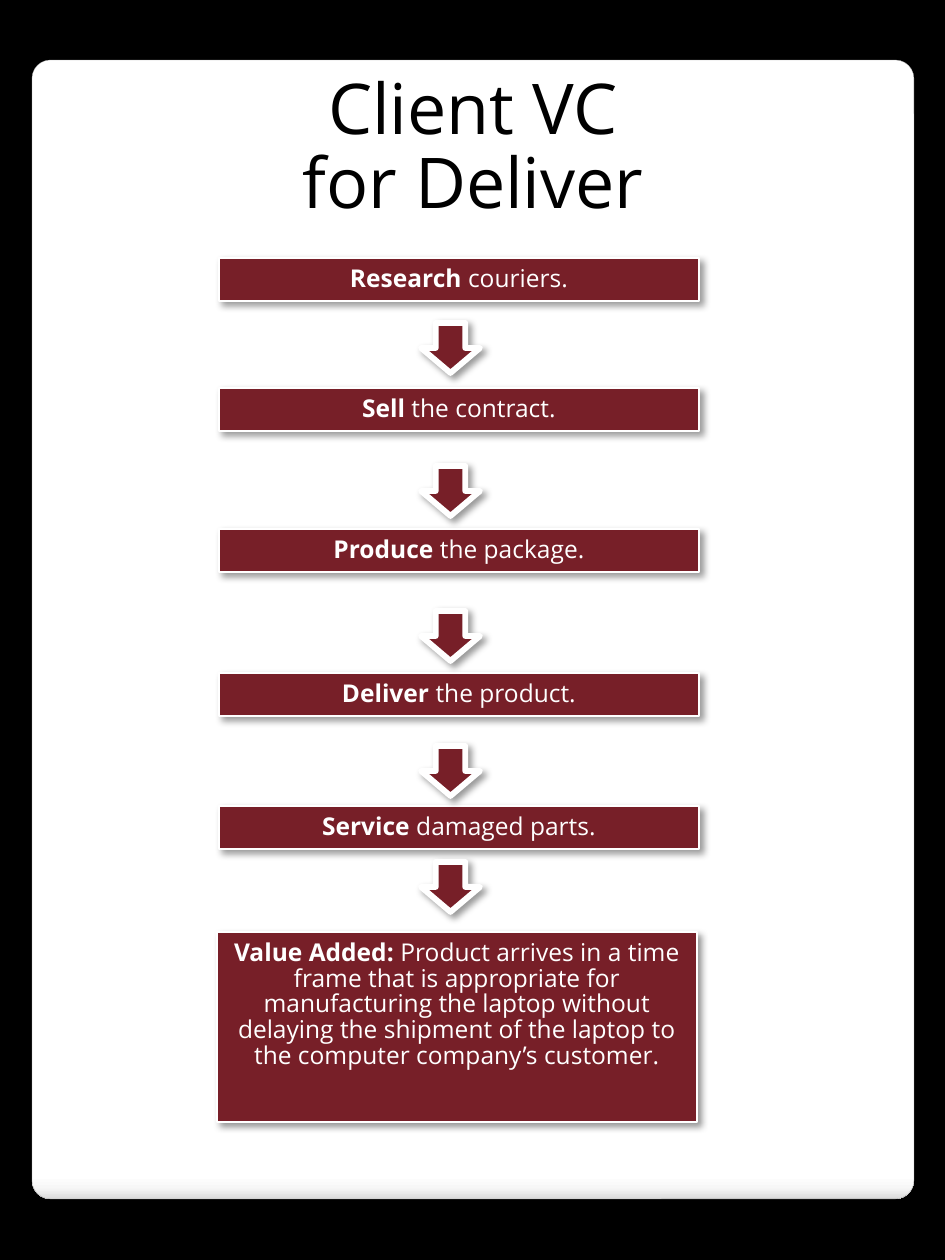
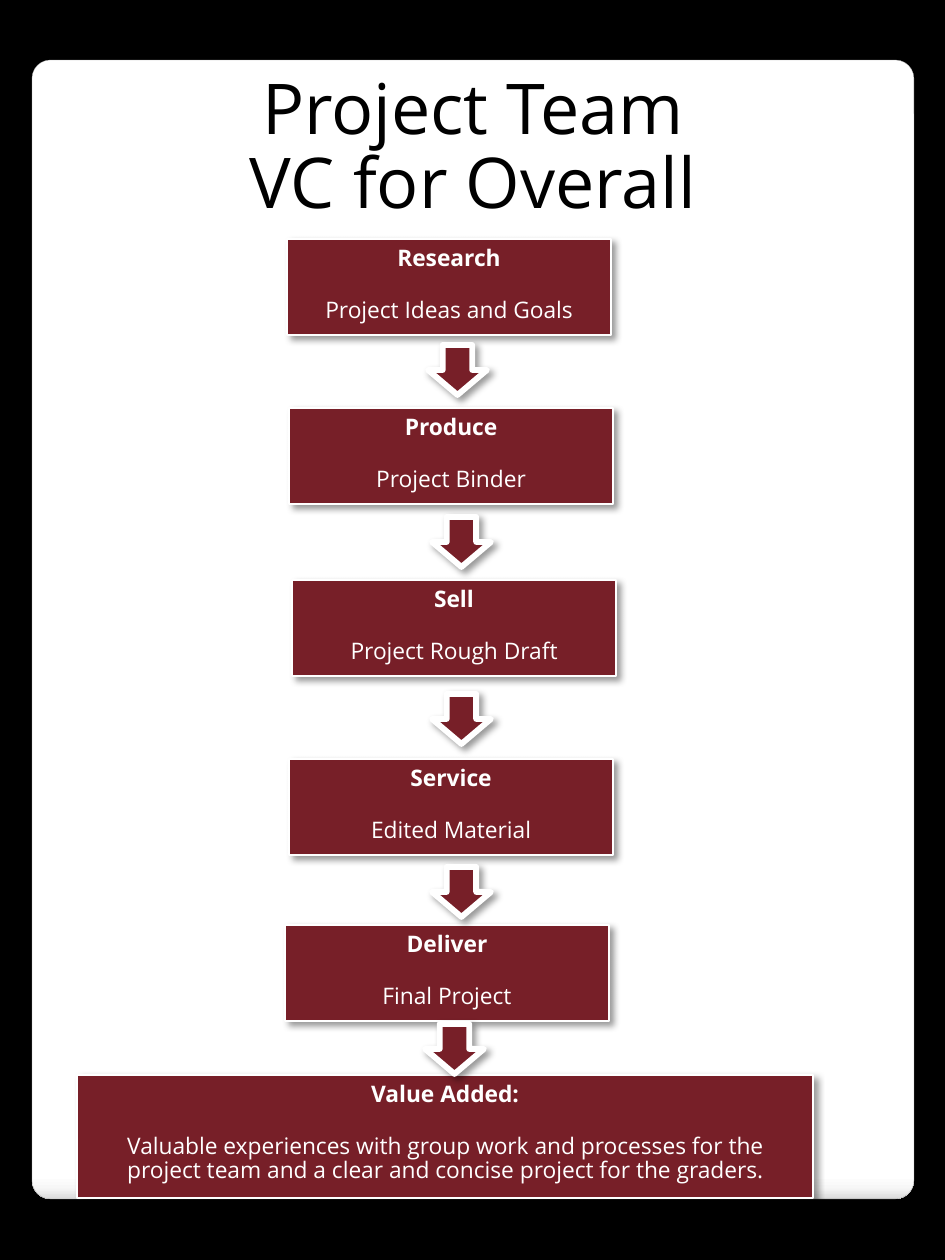
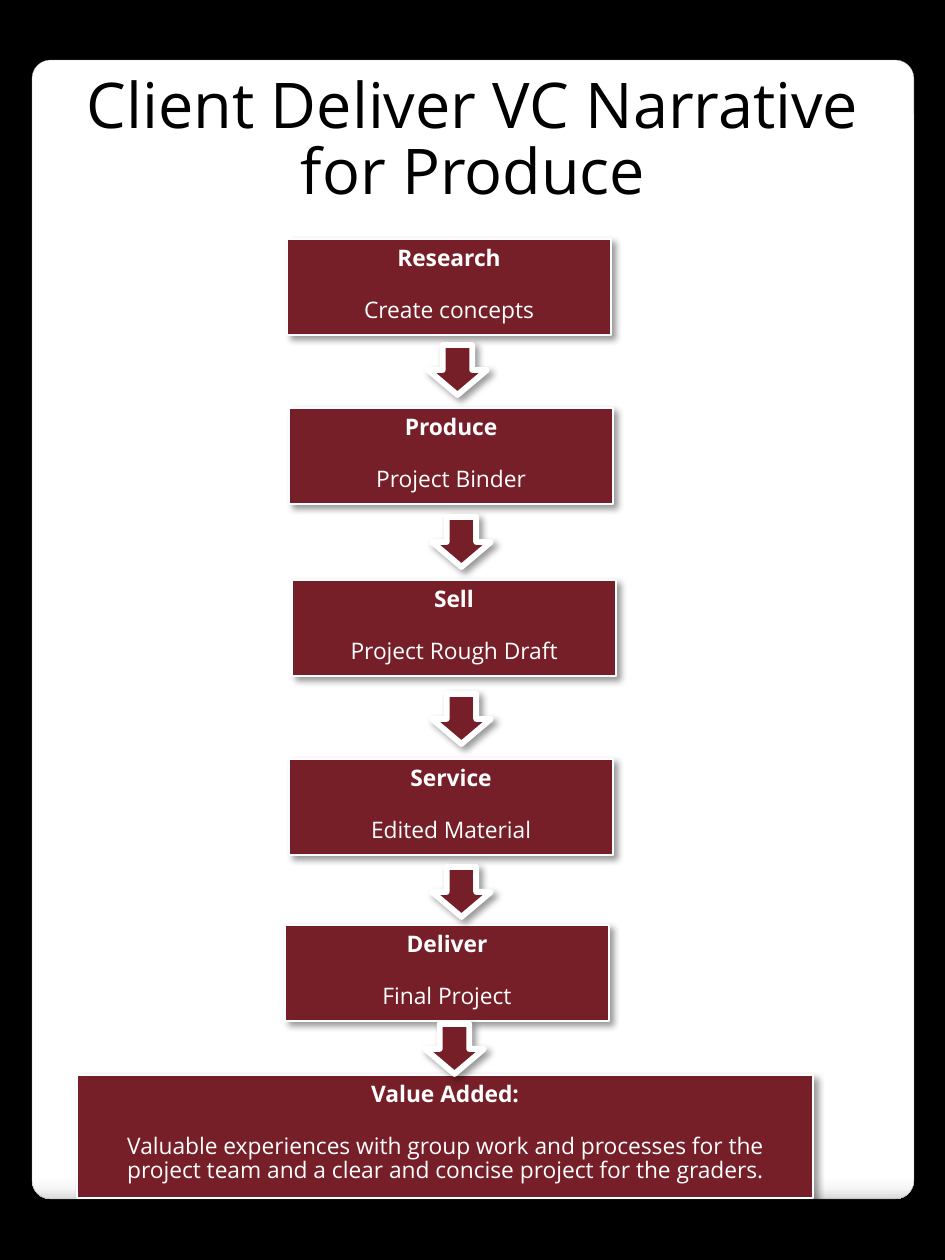
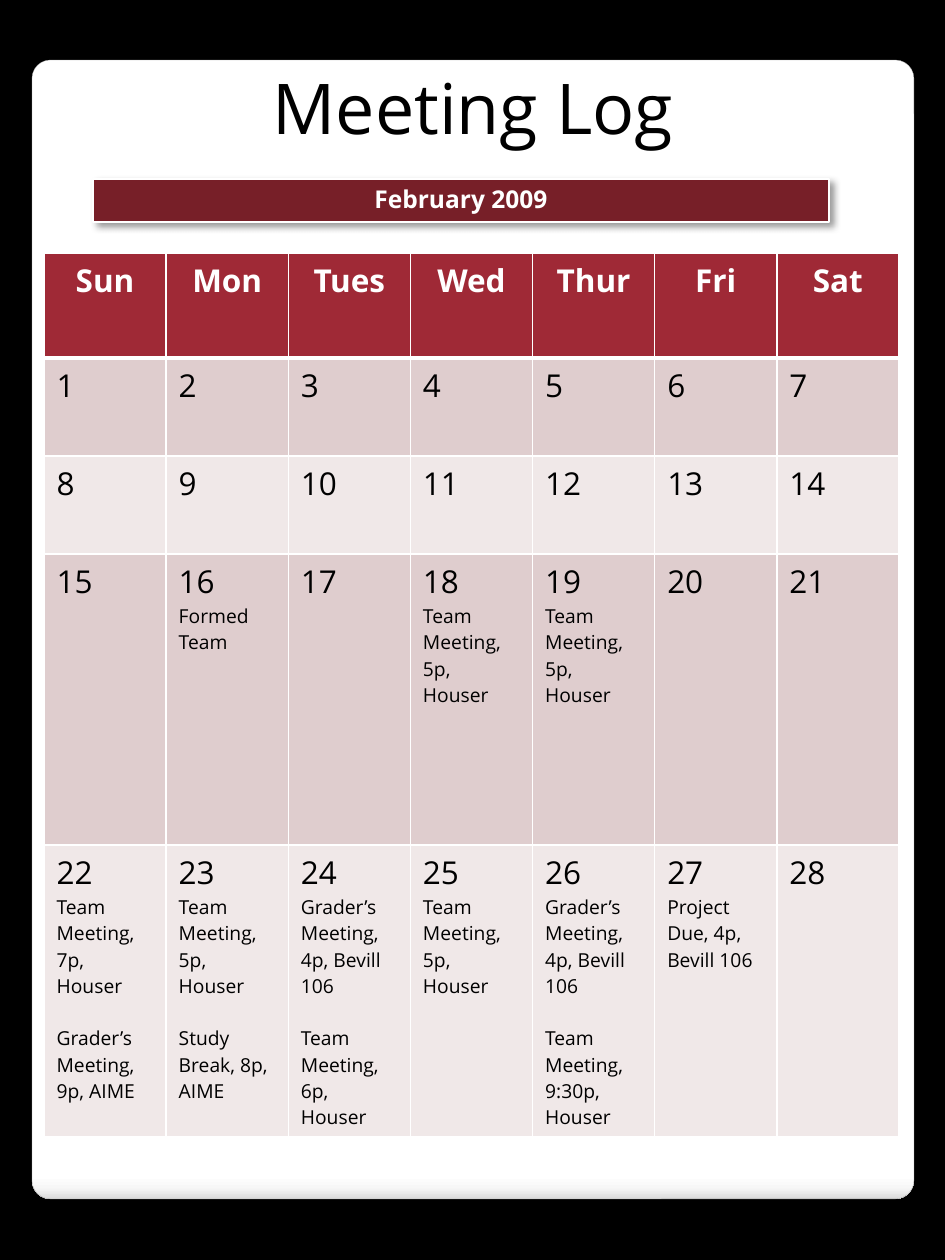
"""Build three value chain flow slides and a monthly meeting log."""
from lxml import etree
from pptx import Presentation
from pptx.dml.color import RGBColor
from pptx.enum.shapes import MSO_SHAPE
from pptx.enum.text import MSO_ANCHOR, MSO_AUTO_SIZE, PP_ALIGN
from pptx.oxml import parse_xml
from pptx.oxml.ns import nsdecls, qn
from pptx.util import Pt

RECT, ROUND_RECT, DOWN_ARROW = MSO_SHAPE.RECTANGLE, MSO_SHAPE.ROUNDED_RECTANGLE, MSO_SHAPE.DOWN_ARROW
CENTER, LEFT = PP_ALIGN.CENTER, PP_ALIGN.LEFT
TOP, NO_AUTOFIT = MSO_ANCHOR.TOP, MSO_AUTO_SIZE.NONE
PX = 914400 // 126


class Theme:
    font = "Open Sans"
    black, white = "000000", "FFFFFF"
    block, header, panel_line = "771F28", "9F2936", "A4A4A4"
    bands = ("DFCDCE", "F0E8E8")
    panel_stops = ((0, "FFFFFF"), (98, "FFFFFF"), (99, "F7F7F7"), (100, "DADADA"))
    title, long_title, step, detail, day, event = 40, 36, 14, 13, 18, 11
    leading = 0.88
    thin, thick = 0.75, 3.35


def block(s, kind, box, line=Theme.thin, line_color=Theme.white, shadow=(40, 4, 3, 45)):
    sp = s.shapes.add_shape(kind, *[v * PX for v in box])
    sp.fill.solid()
    sp.fill.fore_color.rgb = RGBColor.from_string(Theme.block)
    sp.line.color.rgb = RGBColor.from_string(line_color)
    sp.line.width = Pt(line)
    sp.shadow.inherit = False
    alpha, blur, dist, angle = shadow
    effects = sp.element.spPr.find(qn("a:effectLst"))
    effects.append(parse_xml(
        f'<a:outerShdw {nsdecls("a")} blurRad="{Pt(blur)}" dist="{Pt(dist)}" dir="{angle * 60000}" '
        f'algn="tl" rotWithShape="0"><a:srgbClr val="{Theme.black}"><a:alpha val="{alpha * 1000}"/>'
        f'</a:srgbClr></a:outerShdw>'))
    return sp


def write(tf, paragraphs, size, color=Theme.white, gap=0):
    tf.word_wrap = True
    tf.auto_size = NO_AUTOFIT
    tf.vertical_anchor = TOP
    tf.margin_top = Pt(3.6 + 0.09 * size)
    tf.margin_bottom = 0
    for i, runs in enumerate(paragraphs):
        p = tf.add_paragraph() if i else tf.paragraphs[0]
        p.alignment = CENTER
        p.line_spacing = Theme.leading
        p.space_before = Pt(gap if i else 0)
        p.font.name = Theme.font
        p.font.size = Pt(size)
        p.font.color.rgb = RGBColor.from_string(color)
        for text, bold in runs:
            r = p.add_run()
            r.text = text
            r.font.bold = bold


prs = Presentation()
prs.slide_width, prs.slide_height = 945 * PX, 1260 * PX
master = prs.slide_master
master.background.fill.solid()
master.background.fill.fore_color.rgb = RGBColor.from_string(Theme.black)

titles = [
    (["Client VC", "for Deliver"], Theme.title, 183),
    (["Project Team", "VC for Overall"], Theme.title, 183),
    (["Client Deliver VC Narrative for Produce"], Theme.long_title, 165),
    (["Meeting Log"], Theme.title, 97),
]
slides = []
for lines, size, height in titles:
    s = prs.slides.add_slide(prs.slide_layouts[5])
    title = s.shapes.title
    title.left, title.top, title.width, title.height = 32 * PX, 63 * PX, 882 * PX, height * PX
    write(title.text_frame, [[(line, False)] for line in lines], size, Theme.black)
    slides.append(s)

panel = block(slides[0], ROUND_RECT, (32, 60, 882, 1139), 0.16, Theme.panel_line, (25, 6, 4, 90))
panel.adjustments[0] = 0.021
panel.fill.gradient()
panel.fill.gradient_angle = 270
stops = panel.element.spPr.find(qn("a:gradFill")).find(qn("a:gsLst"))
for old in list(stops):
    stops.remove(old)
for position, color in Theme.panel_stops:
    stop = etree.SubElement(stops, qn("a:gs"), pos=str(position * 1000))
    etree.SubElement(stop, qn("a:srgbClr"), val=color)
master.shapes.element.insert(2, panel.element)

client_steps = [
    ("Research", " couriers."),
    ("Sell", " the contract."),
    ("Produce", " the package."),
    ("Deliver", " the product."),
    ("Service", " damaged parts."),
    ("Value Added:", " Product arrives in a time frame that is appropriate for manufacturing the laptop "
                     "without delaying the shipment of the laptop to the computer company’s customer."),
]
client_boxes = [(219, y, 480, 43) for y in (258, 388, 529, 673, 806)] + [(217, 932, 480, 190)]
client_arrows = [(421, y) for y in (323, 466, 611, 746, 862)]

team_steps = [
    ("Research", "Project Ideas and Goals"),
    ("Produce", "Project Binder"),
    ("Sell", "Project Rough Draft"),
    ("Service", "Edited Material"),
    ("Deliver", "Final Project"),
    ("Value Added:", "Valuable experiences with group work and processes for the "
                     "project team and a clear and concise project for the graders."),
]
produce_steps = [("Research", "Create concepts")] + team_steps[1:]
team_boxes = [(x, y, 324, 96) for x, y in ((287, 239), (289, 408), (292, 580), (289, 759), (285, 925))]
team_boxes.append((77, 1075, 736, 123))
team_arrows = [(428, 345), (432, 517), (432, 694), (432, 867), (425, 1024)]

flows = [
    (client_steps, client_boxes, client_arrows, Theme.step, False),
    (team_steps, team_boxes, team_arrows, Theme.detail, True),
    (produce_steps, team_boxes, team_arrows, Theme.detail, True),
]
for s, (steps, boxes, arrows, size, stacked) in zip(slides, flows):
    for (name, detail), box in zip(steps, boxes):
        runs = [(name, True), (detail, False)]
        paragraphs = [[run] for run in runs] if stacked else [runs]
        write(block(s, RECT, box).text_frame, paragraphs, size, gap=16)
    for x, y in arrows:
        block(s, DOWN_ARROW, (x, y, 59, 50), Theme.thick)

s = slides[3]
weekdays = ["Sun", "Mon", "Tues", "Wed", "Thur", "Fri", "Sat"]
events = {
    16: ["Formed Team"],
    18: ["Team Meeting, 5p, Houser"],
    19: ["Team Meeting, 5p, Houser"],
    22: ["Team Meeting, 7p, Houser", "Grader’s Meeting, 9p, AIME"],
    23: ["Team Meeting, 5p, Houser", "Study Break, 8p, AIME"],
    24: ["Grader’s Meeting, 4p, Bevill 106", "Team Meeting, 6p, Houser"],
    25: ["Team Meeting, 5p, Houser"],
    26: ["Grader’s Meeting, 4p, Bevill 106", "Team Meeting, 9:30p, Houser"],
    27: ["Project Due, 4p, Bevill 106"],
}
row_heights = [105, 98, 98, 291, 291]
table = s.shapes.add_table(5, 7, 44 * PX, 253 * PX, 855 * PX, sum(row_heights) * PX).table
for column in table.columns:
    column.width = 855 * PX // 7
for row, height in enumerate(row_heights):
    table.rows[row].height = height * PX
    for col, weekday in enumerate(weekdays):
        cell = table.cell(row, col)
        day = (row - 1) * 7 + col + 1
        lines = [str(day)] + events.get(day, []) if row else [weekday]
        for i, text in enumerate(lines):
            p = cell.text_frame.add_paragraph() if i else cell.text_frame.paragraphs[0]
            p.text = text
            p.alignment = LEFT if row else CENTER
            p.space_before = Pt(15 if i > 1 else 0)
            p.font.name = Theme.font
            p.font.size = Pt(Theme.event if i else Theme.day)
            p.font.bold = row == 0
            p.font.color.rgb = RGBColor.from_string(Theme.black if row else Theme.white)
        tcPr = cell._tc.get_or_add_tcPr()
        for side in ("lnL", "lnR", "lnT", "lnB"):
            heavy = (row, side) in ((0, "lnB"), (1, "lnT"))
            line = etree.SubElement(tcPr, qn(f"a:{side}"), w=str(Pt(3 if heavy else 1)))
            fill = etree.SubElement(line, qn("a:solidFill"))
            etree.SubElement(fill, qn("a:srgbClr"), val=Theme.white)
        cell.fill.solid()
        cell.fill.fore_color.rgb = RGBColor.from_string(Theme.bands[(row - 1) % 2] if row else Theme.header)

month = block(s, RECT, (93, 179, 736, 43))
write(month.text_frame, [[("February 2009", True)]], Theme.step)

prs.save("out.pptx")
